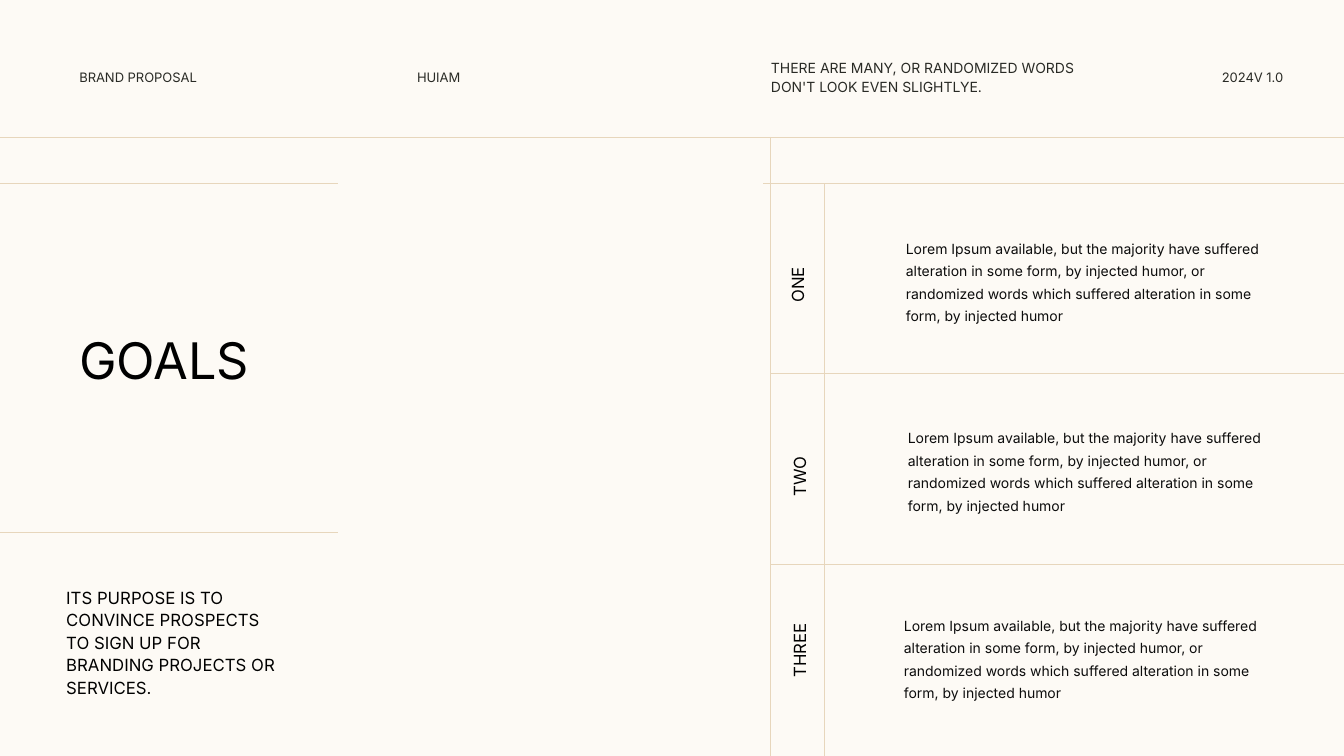
from lxml import etree
from pptx import Presentation
from pptx.dml.color import RGBColor as RGB
from pptx.enum.shapes import MSO_CONNECTOR as CONN
from pptx.enum.text import MSO_AUTO_SIZE as AUTO, PP_ALIGN as AL
from pptx.oxml.ns import qn
from pptx.util import Cm, Pt


class Theme:
    font = "Inter"
    paper = RGB(0xFD, 0xFA, 0xF5)
    rule = RGB(0xE7, 0xD6, 0xBC)
    header = RGB(0x29, 0x2A, 0x25)
    black = RGB(0, 0, 0)
    body = RGB(0x0D, 0x0D, 0x0D)
    title_size = Pt(36)
    raised_size = Pt(16)
    label_size = Pt(12)
    body_size = Pt(10)
    rule_width = Pt(0.5)


def add_text(box, text, size, color, leading=None, align=AL.LEFT):
    sp = s.shapes.add_textbox(*map(Cm, box))
    tf = sp.text_frame
    tf.word_wrap = True
    tf.auto_size = AUTO.SHAPE_TO_FIT_TEXT
    p = tf.paragraphs[0]
    p.text = text
    p.alignment = align
    if leading:
        p.line_spacing = Pt(leading)
    p.font.name = Theme.font
    p.font.size = size
    p.font.color.rgb = color
    return sp


prs = Presentation()
prs.slide_width = Cm(33.87)
prs.slide_height = Cm(19.05)
s = prs.slides.add_slide(prs.slide_layouts[6])
s.background.fill.solid()
s.background.fill.fore_color.rgb = Theme.paper

header_y, top_y, second_y, third_y, bottom = 3.45, 4.62, 9.42, 14.22, 19.05
goals_x, label_x, body_x, right = 8.51, 19.41, 20.78, 33.87
rules = [
    (0, header_y, right, header_y),
    (0, top_y, goals_x, top_y),
    (0, 13.41, goals_x, 13.41),
    (19.23, top_y, right, top_y),
    (label_x, second_y, right, second_y),
    (label_x, third_y, right, third_y),
    (label_x, header_y, label_x, bottom),
    (body_x, top_y, body_x, bottom),
]
for ends in rules:
    line = s.shapes.add_connector(CONN.STRAIGHT, *map(Cm, ends))
    line.line.color.rgb = Theme.rule
    line.line.width = Theme.rule_width
    etree.SubElement(line._element.spPr, qn("a:effectLst"))

raised = [
    ("BRAND PROPOSAL", 1.75, 4.65, AL.LEFT),
    ("HUIAM", 10.26, 4.65, AL.LEFT),
    ("2024V 1.0", 29.95, 2.64, AL.RIGHT),
]
for text, x, width, align in raised:
    sp = add_text((x, 1.57, width, 0.71), text, Theme.raised_size, Theme.header, align=align)
    r = sp.text_frame.paragraphs[0].runs[0]
    r._r.get_or_add_rPr().set("baseline", "30000")

add_text((19.18, 1.35, 8.59, 1.14),
         "THERE ARE MANY, OR RANDOMIZED WORDS DON'T LOOK EVEN SLIGHTLYE.",
         Theme.body_size, Theme.header, 13)
add_text((1.75, 7.75, 5.38, 2.03), "GOALS", Theme.title_size, Theme.black, 55)
add_text((1.42, 14.63, 5.94, 3.07),
         "ITS PURPOSE IS TO CONVINCE PROSPECTS TO SIGN UP FOR BRANDING PROJECTS OR SERVICES.",
         Theme.label_size, Theme.black, 16)

goal_text = ("Lorem Ipsum available, but the majority have suffered alteration in some form, "
             "by injected humor, or randomized words which suffered alteration in some form, "
             "by injected humor")
goals = [
    ("ONE", (19.25, 6.78, 1.63, 0.79), (22.58, 5.79)),
    ("TWO", (19.3, 11.61, 1.63, 0.79), (22.63, 10.57)),
    ("THREE", (19.02, 16, 2.21, 0.79), (22.53, 15.29)),
]
for label, label_box, corner in goals:
    sp = add_text(label_box, label, Theme.label_size, Theme.black, 16, AL.CENTER)
    sp.rotation = 270
    add_text((*corner, 9.75, 2.49), goal_text, Theme.body_size, Theme.body, 16)

prs.save("out.pptx")
